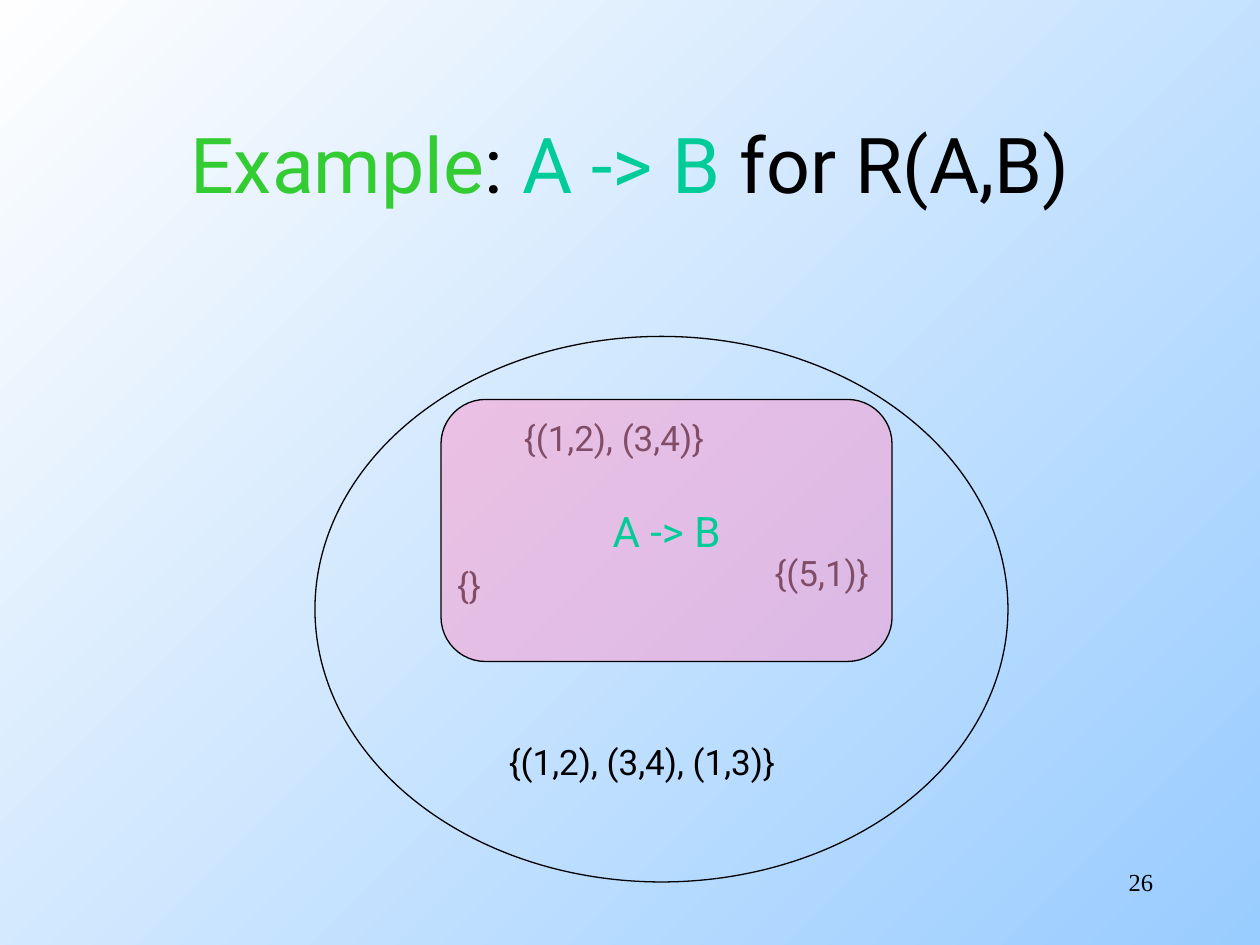
from lxml.etree import SubElement
from pptx import Presentation
from pptx.dml.color import RGBColor
from pptx.enum.shapes import MSO_SHAPE
from pptx.enum.text import MSO_ANCHOR, MSO_AUTO_SIZE, PP_ALIGN
from pptx.oxml.ns import qn
from pptx.util import Pt

PX = 9144  # EMU per px, 100 px to the inch
COLORS = {
    "text": "000000",
    "example": "33CC33",
    "dependency": "00CC99",
    "region": "FF99CC",
    "sky": "99CCFF",
    "white": "FEFEFE",
}


def rgb(name):
    return RGBColor.from_string(COLORS[name])


def add_run(paragraph, text, size, color="text", font="Roboto"):
    run = paragraph.add_run()
    run.text = text
    run.font.color.rgb = rgb(color)
    for attribute, value in {"size": Pt(size), "name": font}.items():
        setattr(run.font, attribute, value)


prs = Presentation()
prs.slide_width, prs.slide_height = 1000 * PX, 750 * PX
slide = prs.slides.add_slide(prs.slide_layouts[5])

# Background runs from blue at bottom right to white at top left
background = slide.background.fill
background.gradient()
background.gradient_angle = 135
for stop, color, position in zip(background.gradient_stops, ("sky", "white"), (0, 1)):
    stop.color.rgb = rgb(color)
    stop.position = position

# Title
title = slide.shapes.title
title_place = {"left": 75, "top": 67, "width": 850, "height": 125}
for attribute, value in title_place.items():
    setattr(title, attribute, value * PX)
title.text_frame.vertical_anchor = MSO_ANCHOR.MIDDLE
heading = title.text_frame.paragraphs[0]
heading.alignment = PP_ALIGN.CENTER
for words, color in (
    ("Example", "example"),
    (": ", "text"),
    ("A -> B", "dependency"),
    (" for R(A,B)", "text"),
):
    add_run(heading, words, 44, color)

# All instances of R
all_instances = slide.shapes.add_shape(
    MSO_SHAPE.OVAL, 250 * PX, 267 * PX, 550 * PX, 433 * PX
)
all_instances.fill.background()

# Sample instances lie under the translucent region
for instance, left, top, width in (
    ("{(1,2), (3,4)}", 406, 326, 168),
    ("{}", 353, 442, 41),
    ("{(1,2), (3,4), (1,3)}", 394, 583, 238),
    ("{(5,1)}", 605, 433, 97),
):
    label = slide.shapes.add_textbox(left * PX, top * PX, width * PX, 44 * PX)
    label.text_frame.word_wrap = False
    label.text_frame.auto_size = MSO_AUTO_SIZE.SHAPE_TO_FIT_TEXT
    add_run(label.text_frame.paragraphs[0], instance, 20)

# Instances satisfying A -> B
satisfying = slide.shapes.add_shape(
    MSO_SHAPE.ROUNDED_RECTANGLE, 350 * PX, 317 * PX, 358 * PX, 208 * PX
)
satisfying.adjustments[0] = 0.17
satisfying.fill.solid()
satisfying.fill.fore_color.rgb = rgb("region")
region_color = satisfying.fill._xPr.find(qn("a:solidFill"))[0]
SubElement(region_color, qn("a:alpha"), val="50000")
satisfying.text_frame.word_wrap = False
satisfying.text_frame.vertical_anchor = MSO_ANCHOR.MIDDLE
dependency = satisfying.text_frame.paragraphs[0]
dependency.alignment = PP_ALIGN.CENTER
add_run(dependency, "A -> B", 24, "dependency")

for outline in (all_instances, satisfying):
    outline.shadow.inherit = False
    outline.line.color.rgb = rgb("text")
    outline.line.width = Pt(0.75)

# Page number
page = slide.shapes.add_textbox(717 * PX, 683 * PX, 208 * PX, 50 * PX)
page.text_frame.word_wrap = True
page_number = page.text_frame.paragraphs[0]
page_number.alignment = PP_ALIGN.RIGHT
add_run(page_number, "26", 14, font="Times New Roman")

prs.save("out.pptx")
